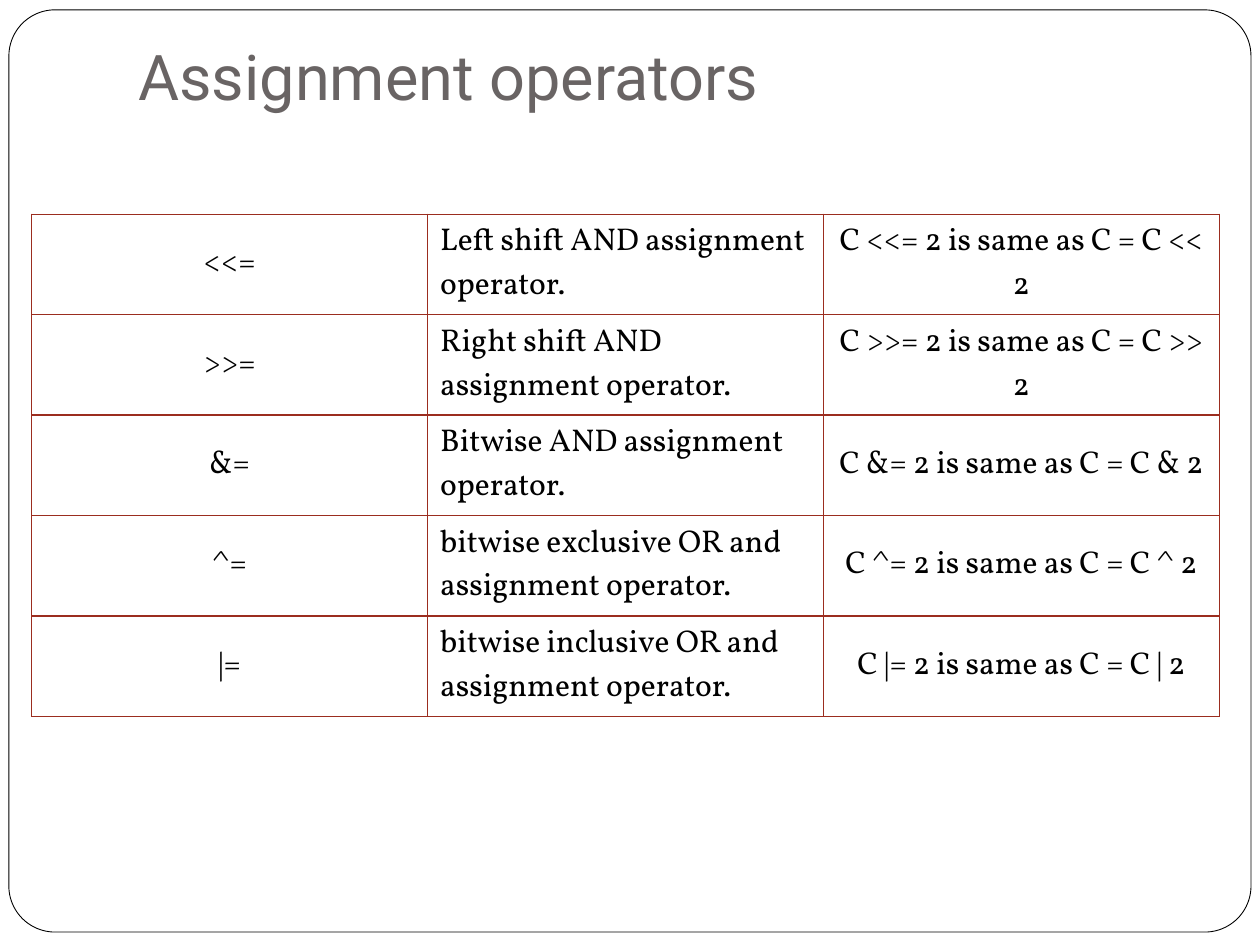
import dataclasses

import lxml.etree
import pptx
import pptx.dml.color
import pptx.enum.shapes
import pptx.enum.text
import pptx.oxml.ns
import pptx.util

Cm = pptx.util.Cm
Pt = pptx.util.Pt
ALIGN = pptx.enum.text.PP_ALIGN
ANCHOR = pptx.enum.text.MSO_ANCHOR


@dataclasses.dataclass(frozen=True)
class Theme:
    paper: str = "FFFFFF"
    ink: str = "000000"
    heading: str = "696464"
    rule: str = "9B2D1F"
    heading_font: str = "Roboto"
    body_font: str = "Vollkorn"
    heading_size: int = 36
    body_size: int = 18
    frame_width: float = 0.5
    rule_width: float = 1


THEME = Theme()

OPERATORS = [
    ("<<=", "Left shift AND assignment operator.", "C <<= 2 is same as C = C << 2"),
    (">>=", "Right shift AND assignment operator.", "C >>= 2 is same as C = C >> 2"),
    ("&=", "Bitwise AND assignment operator.", "C &= 2 is same as C = C & 2"),
    ("^=", "bitwise exclusive OR and assignment operator.", "C ^= 2 is same as C = C ^ 2"),
    ("|=", "bitwise inclusive OR and assignment operator.", "C |= 2 is same as C = C | 2"),
]
COLUMN_ALIGNMENT = (ALIGN.CENTER, ALIGN.LEFT, ALIGN.CENTER)


def rgb(value):
    return pptx.dml.color.RGBColor.from_string(value)


def write_text(frame, text, *, font, size, color, align=ALIGN.LEFT):
    paragraph = frame.paragraphs[0]
    paragraph.alignment = align
    run = paragraph.add_run()
    run.text = text
    run.font.name = font
    run.font.size = Pt(size)
    run.font.bold = False
    run.font.color.rgb = rgb(color)


def add_frame(slide):
    frame = slide.shapes.add_shape(
        pptx.enum.shapes.MSO_SHAPE.ROUNDED_RECTANGLE,
        Cm(0.18), Cm(0.2), Cm(25.04), Cm(18.59))
    frame.adjustments[0] = 0.05
    frame.shadow.inherit = False
    frame.fill.solid()
    frame.fill.fore_color.rgb = rgb(THEME.paper)
    frame.line.color.rgb = rgb(THEME.ink)
    frame.line.width = Pt(THEME.frame_width)
    slide.shapes._spTree.insert(2, frame._element)


def add_heading(slide, text):
    heading = slide.shapes.title
    heading.left, heading.top = Cm(2.54), Cm(0.76)
    heading.width, heading.height = Cm(21.59), Cm(1.78)
    frame = heading.text_frame
    frame.word_wrap = True
    frame.auto_size = pptx.enum.text.MSO_AUTO_SIZE.NONE
    frame.vertical_anchor = ANCHOR.BOTTOM
    frame.margin_left = frame.margin_right = frame.margin_bottom = Cm(0.25)
    frame.margin_top = Cm(0.13)
    write_text(frame, text, font=THEME.heading_font, size=THEME.heading_size,
               color=THEME.heading)


def add_borders(cell):
    qn = pptx.oxml.ns.qn
    properties = cell._tc.get_or_add_tcPr()
    for side in ("a:lnL", "a:lnR", "a:lnT", "a:lnB"):
        border = lxml.etree.SubElement(properties, qn(side), w=str(Pt(THEME.rule_width)))
        fill = lxml.etree.SubElement(border, qn("a:solidFill"))
        lxml.etree.SubElement(fill, qn("a:srgbClr"), val=THEME.rule)


def add_operator_table(slide, operators):
    columns = len(COLUMN_ALIGNMENT)
    table = slide.shapes.add_table(
        len(operators), columns, Cm(0.64), Cm(4.32),
        columns * Cm(7.98), len(operators) * Cm(2.02)).table
    table.first_row = False
    table.horz_banding = False
    for row, entry in enumerate(operators):
        for column, (text, align) in enumerate(zip(entry, COLUMN_ALIGNMENT)):
            cell = table.cell(row, column)
            add_borders(cell)
            cell.fill.background()
            cell.vertical_anchor = ANCHOR.MIDDLE
            write_text(cell.text_frame, text, font=THEME.body_font,
                       size=THEME.body_size, color=THEME.ink, align=align)


def main():
    presentation = pptx.Presentation()
    presentation.slide_width, presentation.slide_height = Cm(25.4), Cm(19.05)
    slide = presentation.slides.add_slide(presentation.slide_layouts[5])
    add_frame(slide)
    add_heading(slide, "Assignment operators")
    add_operator_table(slide, OPERATORS)
    presentation.save("out.pptx")


main()
